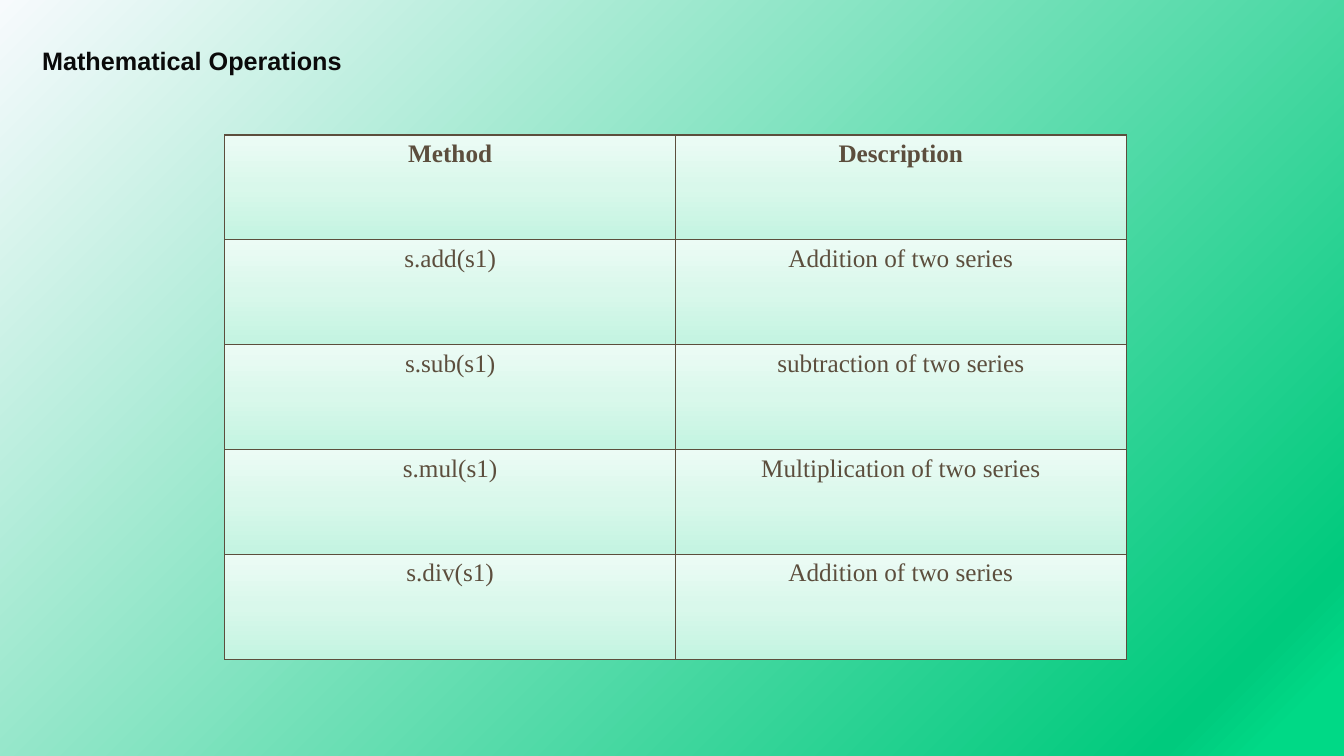
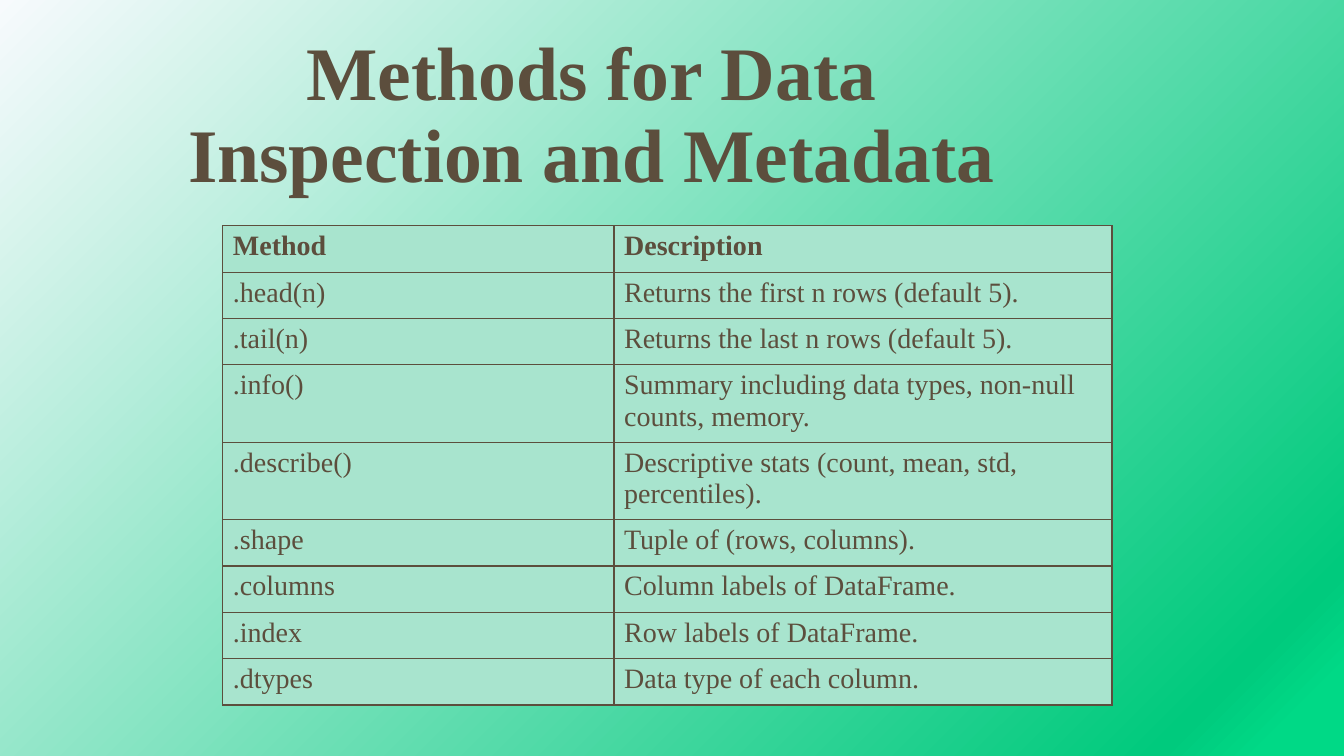
import pptx
import pptx.util
import pptx.dml.color
import pptx.enum.text
import pptx.oxml
import pptx.oxml.ns

Inches = pptx.util.Inches
Pt = pptx.util.Pt
ALIGN = pptx.enum.text.PP_ALIGN
ANCHOR = pptx.enum.text.MSO_ANCHOR
AUTO = pptx.enum.text.MSO_AUTO_SIZE
qn = pptx.oxml.ns.qn
NS = pptx.oxml.ns.nsdecls("a")

COLORS = {"brown": "5C4E3D", "black": "0A0A0A", "mint": "A8E4CE"}
SERIF = "Times New Roman"
BACKDROP = [(0, "F7FAFD"), (91, "00CA7D"), (96, "00D986"), (100, "00D986")]
CELL_FADE = [(0, "C3F4E1"), (50, "D9F8EB"), (100, "ECFBF5")]


def set_gradient(fill, element, stops, angle):
    fill.gradient()
    old = element.find(".//" + qn("a:gradFill"))
    gs = "".join(f'<a:gs pos="{pos * 1000}"><a:srgbClr val="{color}"/></a:gs>' for pos, color in stops)
    new = pptx.oxml.parse_xml(
        f'<a:gradFill {NS} rotWithShape="1"><a:gsLst>{gs}</a:gsLst>'
        f'<a:lin ang="{angle * 60000}" scaled="0"/></a:gradFill>')
    old.getparent().replace(old, new)


def format_text(p, size, font, color, bold, align):
    p.alignment = align
    for r in p.runs:
        r.font.size = Pt(size)
        r.font.name = font
        r.font.bold = bold
        r.font.color.rgb = pptx.dml.color.RGBColor.from_string(COLORS[color])


prs = pptx.Presentation()
prs.slide_width = Inches(13.33)
prs.slide_height = Inches(7.5)
master = prs.slide_master
set_gradient(master.background.fill, master.element, BACKDROP, 45)

slides = [
    {
        "title": "Mathematical Operations",
        "title_at": (0.32, 0.45, 3.2, 0.35),
        "title_style": (18, "Arial", "black", True, ALIGN.LEFT),
        "spacing": Pt(18), "wrap": False, "anchor": ANCHOR.TOP, "auto": AUTO.SHAPE_TO_FIT_TEXT,
        "table_at": (2.23, 1.34), "cols": [4.47, 4.47], "heights": [1.04] * 5,
        "size": 18, "align": ALIGN.CENTER, "fade": True,
        "rows": [
            ("Method", "Description"),
            ("s.add(s1)", "Addition of two series"),
            ("s.sub(s1)", "subtraction of two series"),
            ("s.mul(s1)", "Multiplication of two series"),
            ("s.div(s1)", "Addition of two series"),
        ],
    },
    {
        "title": "Methods for Data Inspection and Metadata",
        "title_at": (1.27, 0.22, 9.19, 1.8),
        "title_style": (54, SERIF, "brown", True, ALIGN.CENTER),
        "spacing": 0.9, "wrap": True, "anchor": ANCHOR.BOTTOM, "auto": AUTO.NONE,
        "table_at": (2.21, 2.24), "cols": [3.88, 4.94],
        "heights": [0.46] * 3 + [0.71] * 2 + [0.46] * 4,
        "size": 20, "align": ALIGN.LEFT, "fade": False,
        "rows": [
            ("Method", "Description"),
            (".head(n)", "Returns the first n rows (default 5)."),
            (".tail(n)", "Returns the last n rows (default 5)."),
            (".info()", "Summary including data types, non-null counts, memory."),
            (".describe()", "Descriptive stats (count, mean, std, percentiles)."),
            (".shape", "Tuple of (rows, columns)."),
            (".columns", "Column labels of DataFrame."),
            (".index", "Row labels of DataFrame."),
            (".dtypes", "Data type of each column."),
        ],
    },
]

for spec_row in slides:
    s = prs.slides.add_slide(prs.slide_layouts[6])

    box = s.shapes.add_textbox(*map(Inches, spec_row["title_at"]))
    tf = box.text_frame
    tf.text = spec_row["title"]
    tf.word_wrap = spec_row["wrap"]
    tf.auto_size = spec_row["auto"]
    tf.vertical_anchor = spec_row["anchor"]
    p = tf.paragraphs[0]
    p.line_spacing = spec_row["spacing"]
    format_text(p, *spec_row["title_style"])

    rows, cols, heights = spec_row["rows"], spec_row["cols"], spec_row["heights"]
    left, top = spec_row["table_at"]
    table = s.shapes.add_table(len(rows), len(cols), Inches(left), Inches(top),
                               Inches(sum(cols)), Inches(sum(heights))).table
    table.horz_banding = False
    for col, width in zip(table.columns, cols):
        col.width = Inches(width)
    for i, (row, height) in enumerate(zip(table.rows, heights)):
        row.height = Inches(height)
        for cell, text in zip(row.cells, rows[i]):
            cell.text_frame.text = text
            format_text(cell.text_frame.paragraphs[0], spec_row["size"], SERIF, "brown",
                        i == 0, spec_row["align"])
            tcPr = cell._tc.get_or_add_tcPr()
            if spec_row["fade"]:
                set_gradient(cell.fill, tcPr, CELL_FADE, 270)
            else:
                cell.fill.solid()
                cell.fill.fore_color.rgb = pptx.dml.color.RGBColor.from_string(COLORS["mint"])
            for n, side in enumerate("LRTB"):
                tcPr.insert(n, pptx.oxml.parse_xml(
                    f'<a:ln{side} {NS} w="{Pt(1)}"><a:solidFill>'
                    f'<a:srgbClr val="{COLORS["brown"]}"/></a:solidFill></a:ln{side}>'))

prs.save("out.pptx")
